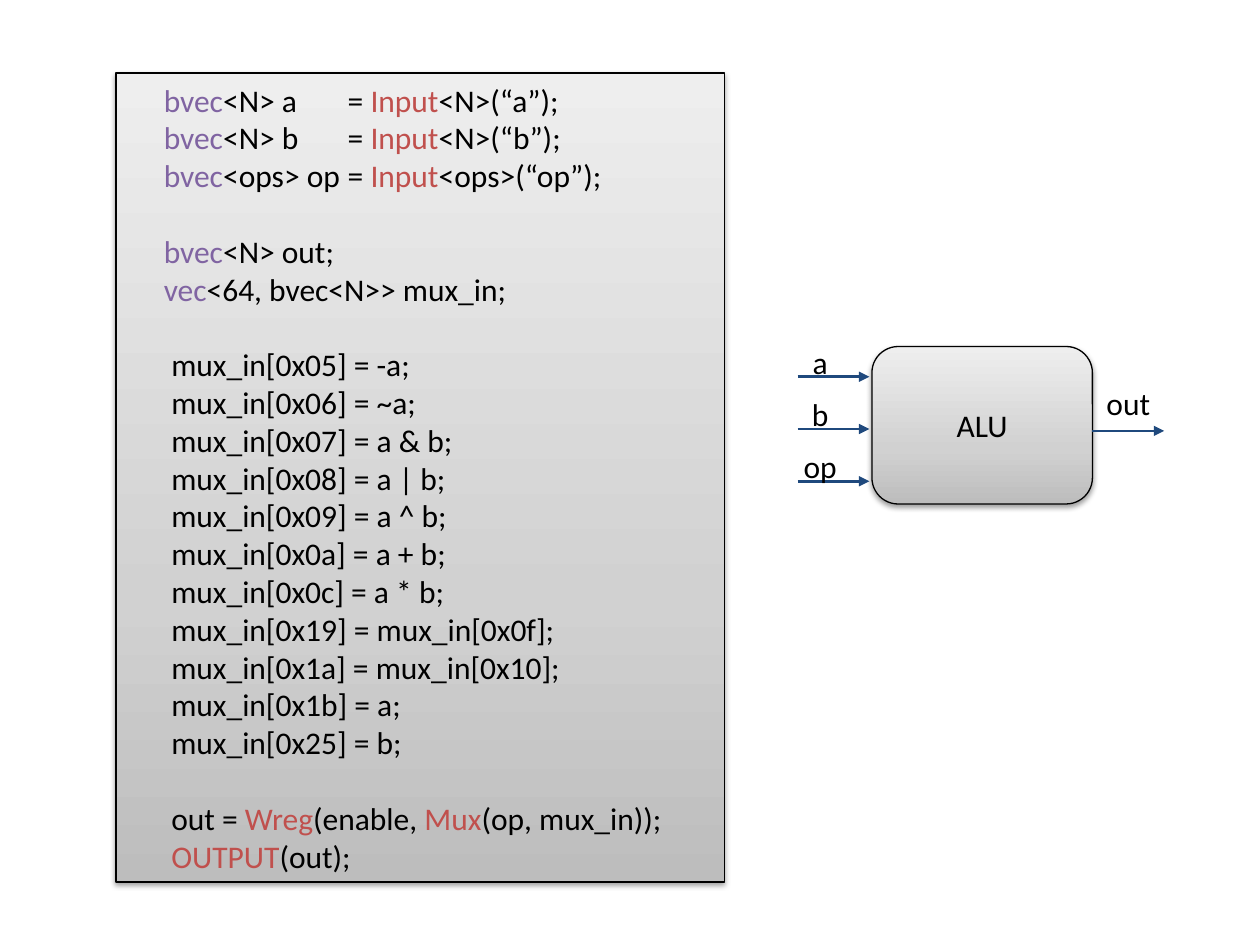
import copy

import lxml.etree
import pptx
import pptx.dml.color
import pptx.enum.shapes
import pptx.enum.text
import pptx.oxml
import pptx.oxml.ns
import pptx.util
from pptx.util import Inches

COLORS = {
    "text": "000000",
    "type": "8064A2",
    "call": "C0504D",
    "wire": "1F497D",
    "outline": "000000",
    "shadow": "000000",
}
PANEL_STOPS = [(0, "BDBDBD"), (0.35, "D1D1D1"), (1, "EEEEEE")]
FONT = "Calibri"
FONT_SIZE = pptx.util.Pt(18)
LINE_GAP = pptx.util.Pt(21.6)

DECLARATIONS = [
    [("bvec", "type"), ("<N> a\t= ", "text"), ("Input", "call"), ("<N>(“a”);", "text")],
    [("bvec", "type"), ("<N> b\t= ", "text"), ("Input", "call"), ("<N>(“b”);", "text")],
    [("bvec", "type"), ("<ops> op\t= ", "text"), ("Input", "call"), ("<ops>(“op”);", "text")],
]
SIGNALS = [
    [("bvec", "type"), ("<N> out;", "text")],
    [("vec", "type"), ("<64, bvec<N>> mux_in;", "text")],
]
OPERATIONS = [
    [(f"mux_in[0x{code}] = {result};", "text")]
    for code, result in [
        ("05", "-a"), ("06", "~a"), ("07", "a & b"), ("08", "a | b"),
        ("09", "a ^ b"), ("0a", "a + b"), ("0c", "a * b"),
        ("19", "mux_in[0x0f]"), ("1a", "mux_in[0x10]"), ("1b", "a"), ("25", "b"),
    ]
]
RESULTS = [
    [("out = ", "text"), ("Wreg", "call"), ("(enable, ", "text"),
     ("Mux", "call"), ("(op, mux_in));", "text")],
    [("OUTPUT", "call"), ("(out);", "text")],
]
CODE_GROUPS = [(DECLARATIONS, 0), (SIGNALS, 0), (OPERATIONS, 0.06), (RESULTS, 0.06)]


def rgb(name):
    """Return the named colour."""
    return pptx.dml.color.RGBColor.from_string(COLORS[name])


def style_run(run, color="text"):
    """Give a run the slide's font in the named colour."""
    run.font.name = FONT
    run.font.size = FONT_SIZE
    run.font.color.rgb = rgb(color)


def add_panel(slide, preset, left, top, width, height):
    """Add a grey gradient shape with a thin outline and a soft shadow."""
    panel = slide.shapes.add_shape(
        preset, Inches(left), Inches(top), Inches(width), Inches(height))
    panel.fill.gradient()
    panel.fill.gradient_angle = 90
    stop_list = panel._element.spPr.find(".//" + pptx.oxml.ns.qn("a:gsLst"))
    stop_list.append(copy.deepcopy(stop_list[-1]))
    for stop, (position, color) in zip(panel.fill.gradient_stops, PANEL_STOPS):
        stop.position = position
        stop.color.rgb = pptx.dml.color.RGBColor.from_string(color)
    panel.line.color.rgb = rgb("outline")
    panel.line.width = pptx.util.Pt(0.75)
    panel.shadow.inherit = False
    effects = panel._element.spPr.find(pptx.oxml.ns.qn("a:effectLst"))
    effects.append(pptx.oxml.parse_xml(
        f'<a:outerShdw {pptx.oxml.ns.nsdecls("a")} blurRad="40000" dist="20000" '
        f'dir="5400000" rotWithShape="0"><a:srgbClr val="{COLORS["shadow"]}">'
        '<a:alpha val="38000"/></a:srgbClr></a:outerShdw>'))
    panel.text_frame.vertical_anchor = pptx.enum.text.MSO_ANCHOR.MIDDLE
    return panel


def add_tab_stop(paragraph, position):
    """Add a left tab stop to a paragraph."""
    properties = paragraph._p.get_or_add_pPr()
    stops = lxml.etree.SubElement(properties, pptx.oxml.ns.qn("a:tabLst"))
    lxml.etree.SubElement(
        stops, pptx.oxml.ns.qn("a:tab"), pos=str(Inches(position)), algn="l")


def add_code(slide, left, top, width, height):
    """Add the code listing, its groups set apart by one line."""
    frame = add_panel(slide, pptx.enum.shapes.MSO_SHAPE.RECTANGLE,
                      left, top, width, height).text_frame
    frame.margin_left = Inches(0.38)
    paragraph = frame.paragraphs[0]
    for group_index, (lines, indent) in enumerate(CODE_GROUPS):
        for line_index, line in enumerate(lines):
            if group_index or line_index:
                paragraph = frame.add_paragraph()
            paragraph.alignment = pptx.enum.text.PP_ALIGN.LEFT
            paragraph._p.get_or_add_pPr().set("marL", str(Inches(indent)))
            if group_index and line_index == 0:
                paragraph.space_before = LINE_GAP
            if lines is DECLARATIONS:
                add_tab_stop(paragraph, 1.46)
            for text, color in line:
                run = paragraph.add_run()
                run.text = text
                style_run(run, color)


def add_pin(slide, label, left, y, label_left, label_width, label_rise):
    """Add an arrow running right with its label above it."""
    wire = slide.shapes.add_connector(
        pptx.enum.shapes.MSO_CONNECTOR.STRAIGHT,
        Inches(left), Inches(y), Inches(left + 0.57), Inches(y))
    wire.line.color.rgb = rgb("wire")
    wire.line.width = pptx.util.Pt(1.5)
    lxml.etree.SubElement(
        wire.line._get_or_add_ln(), pptx.oxml.ns.qn("a:tailEnd"), type="triangle")
    lxml.etree.SubElement(wire._element.spPr, pptx.oxml.ns.qn("a:effectLst"))
    frame = slide.shapes.add_textbox(
        Inches(label_left), Inches(y - label_rise),
        Inches(label_width), Inches(0.24)).text_frame
    frame.word_wrap = True
    frame.vertical_anchor = pptx.enum.text.MSO_ANCHOR.MIDDLE
    frame.margin_left = frame.margin_right = Inches(0.1)
    frame.margin_top = frame.margin_bottom = Inches(0.1)
    frame.text = label
    frame.paragraphs[0].alignment = pptx.enum.text.PP_ALIGN.CENTER
    style_run(frame.paragraphs[0].runs[0])


def add_alu(slide, left, top, width, height):
    """Add the ALU block with its three inputs and one output."""
    block = add_panel(slide, pptx.enum.shapes.MSO_SHAPE.ROUNDED_RECTANGLE,
                      left, top, width, height)
    block.text_frame.text = "ALU"
    block.text_frame.paragraphs[0].alignment = pptx.enum.text.PP_ALIGN.CENTER
    style_run(block.text_frame.paragraphs[0].runs[0])
    for index, label in enumerate(["a", "b", "op"]):
        add_pin(slide, label, left - 0.59, top + 0.24 + index * 0.83 / 2,
                left - 0.66, 0.5, 0.24)
    right = left + width
    add_pin(slide, "out", right, top + 0.67, right, 0.57, 0.34)


def main():
    """Build and save the slide."""
    deck = pptx.Presentation()
    deck.slide_width, deck.slide_height = Inches(10), Inches(7.5)
    slide = deck.slides.add_slide(deck.slide_layouts[6])
    add_code(slide, 0.92, 0.58, 4.83, 6.42)
    add_alu(slide, 6.92, 2.75, 1.75, 1.25)
    deck.save("out.pptx")


if __name__ == "__main__":
    main()
